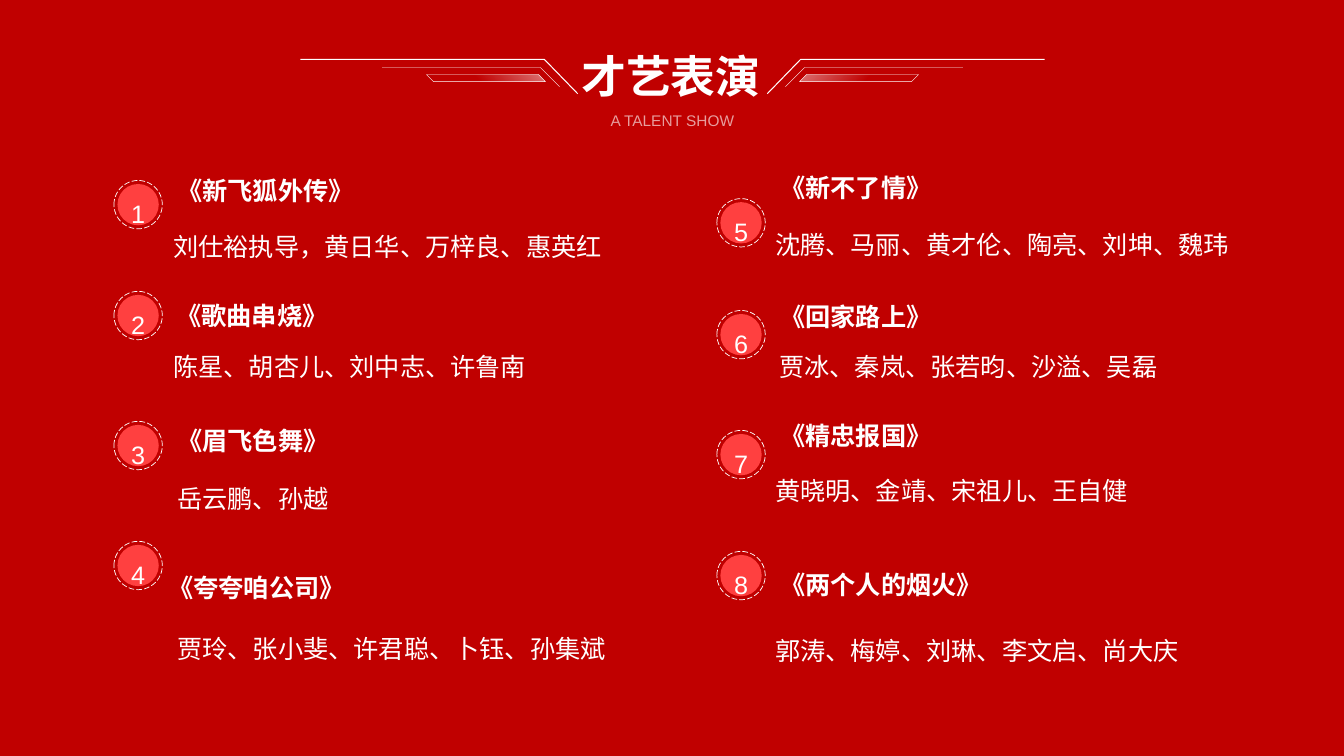
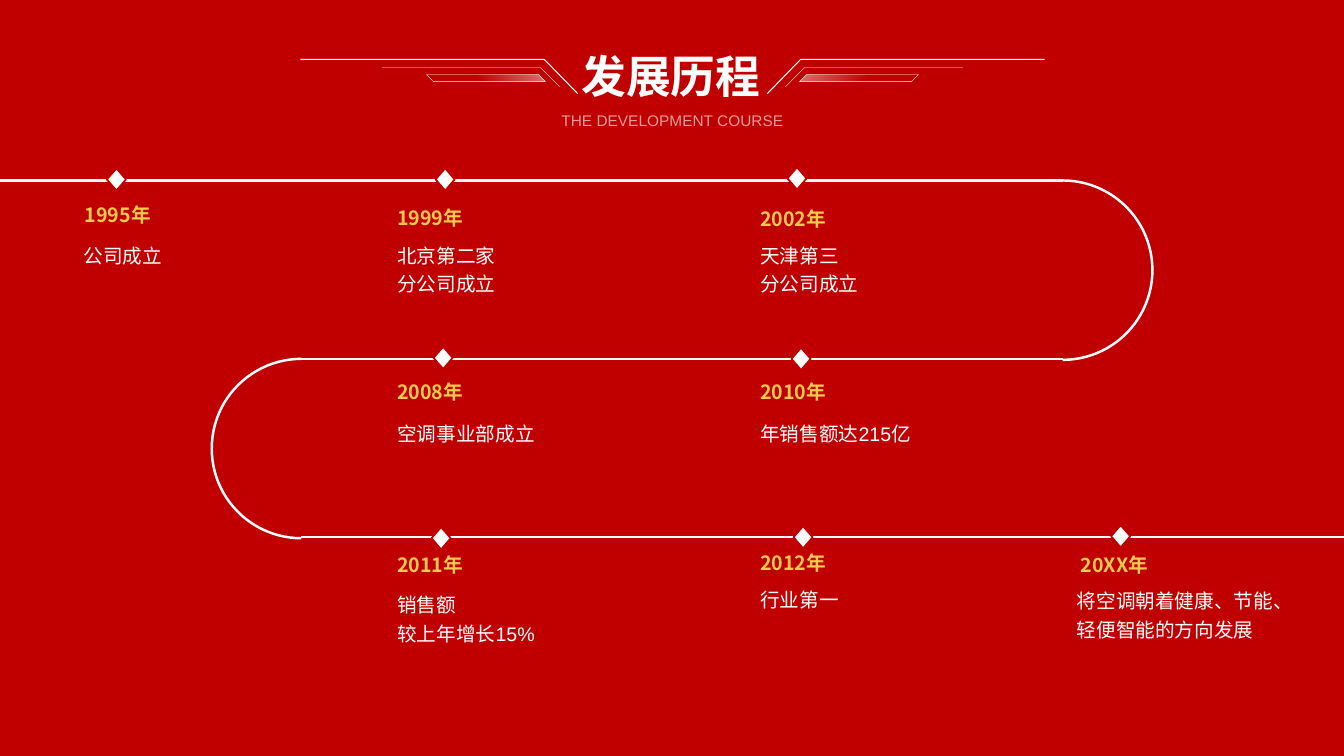
"""Builds a talent show programme slide and a company history slide."""
from dataclasses import dataclass

from lxml.etree import SubElement
from pptx import Presentation
from pptx.dml.color import RGBColor
from pptx.enum.dml import MSO_LINE
from pptx.enum.shapes import MSO_CONNECTOR, MSO_SHAPE as Preset
from pptx.enum.text import MSO_ANCHOR as Anchor, MSO_AUTO_SIZE, PP_ALIGN as Align
from pptx.oxml.ns import qn
from pptx.presentation import Presentation as Deck
from pptx.shapes.autoshape import Shape
from pptx.slide import Slide
from pptx.util import Inches, Pt

RED = RGBColor(0xC0, 0x00, 0x00)
CORAL = RGBColor(0xFF, 0x40, 0x40)
GOLD = RGBColor(0xF3, 0xCA, 0x4D)
CREAM = RGBColor(0xFF, 0xF2, 0xCC)
WHITE = RGBColor(0xFF, 0xFF, 0xFF)
LATIN = "Arial"
CHINESE = "Noto Sans CJK SC"

PAGE_WIDTH = 13.33
MIRROR_SUM = 13.34
RING_SIZE = 0.48
DISC_SIZE = 0.41
BEND_SIZE = 1.78
DIAMOND_WIDTH, DIAMOND_HEIGHT = 0.19, 0.22
ROAD_ROWS = (1.79, 3.56, 5.33)
ROAD_LEFT, ROAD_RIGHT = 2.99, 10.54


@dataclass(frozen=True)
class TextStyle:
    size: float
    color: RGBColor = WHITE
    font: str = LATIN
    bold: bool = False
    spacing: float = 1.0
    before: float = 0
    align: Align = Align.LEFT
    anchor: Anchor = Anchor.TOP
    inset: bool = True


@dataclass(frozen=True)
class Act:
    ring_left: float
    ring_top: float
    title: str
    title_left: float
    title_top: float
    cast: str
    cast_left: float
    cast_top: float


@dataclass(frozen=True)
class Milestone:
    year: str
    year_left: float
    year_top: float
    event: str
    event_left: float
    event_top: float
    diamond_left: float
    diamond_top: float


TITLE = TextStyle(32, font=CHINESE, bold=True, spacing=0.9, align=Align.CENTER,
                  anchor=Anchor.MIDDLE)
SUBTITLE = TextStyle(11, spacing=0.9, before=10, align=Align.CENTER)
ACT_TITLE = TextStyle(18, bold=True, spacing=1.5, anchor=Anchor.MIDDLE)
ACT_CAST = TextStyle(18, spacing=1.5, anchor=Anchor.MIDDLE)
NUMBER = TextStyle(18, align=Align.CENTER, inset=False)
YEAR = TextStyle(14, GOLD, CHINESE, bold=True, inset=False)
EVENT = TextStyle(14, spacing=1.2, inset=False)

ACTS = (
    Act(1.13, 1.79, "《新飞狐外传》", 1.66, 1.56, "刘仕裕执导，黄日华、万梓良、惠英红", 1.62, 2.12),
    Act(1.13, 2.89, "《歌曲串烧》", 1.65, 2.8, "陈星、胡杏儿、刘中志、许鲁南", 1.62, 3.31),
    Act(1.13, 4.18, "《眉飞色舞》", 1.66, 4.04, "岳云鹏、孙越", 1.66, 4.62),
    Act(1.13, 5.37, "《夸夸咱公司》", 1.57, 5.5, "贾玲、张小斐、许君聪、卜钰、孙集斌", 1.66, 6.11),
    Act(7.11, 1.97, "《新不了情》", 7.64, 1.53, "沈腾、马丽、黄才伦、陶亮、刘坤、魏玮", 7.59, 2.1),
    Act(7.11, 3.08, "《回家路上》", 7.64, 2.81, "贾冰、秦岚、张若昀、沙溢、吴磊", 7.63, 3.31),
    Act(7.11, 4.27, "《精忠报国》", 7.64, 3.99, "黄晓明、金靖、宋祖儿、王自健", 7.59, 4.54),
    Act(7.11, 5.47, "《两个人的烟火》", 7.64, 5.47, "郭涛、梅婷、刘琳、李文启、尚大庆", 7.59, 6.13),
)

MILESTONES = (
    Milestone("1995年", 0.84, 2.01, "公司成立", 0.83, 2.37, 1.06, 1.67),
    Milestone("1999年", 3.94, 2.04, "北京第二家\v分公司成立", 3.94, 2.37, 4.32, 1.67),
    Milestone("2002年", 7.54, 2.05, "天津第三\v分公司成立", 7.54, 2.37, 7.81, 1.66),
    Milestone("2008年", 3.94, 3.77, "空调事业部成立", 3.94, 4.14, 4.3, 3.44),
    Milestone("2010年", 7.54, 3.77, "年销售额达215亿", 7.54, 4.14, 7.85, 3.45),
    Milestone("2011年", 3.94, 5.49, "销售额\n较上年增长15%", 3.94, 5.84, 4.28, 5.23),
    Milestone("2012年", 7.54, 5.47, "行业第一", 7.54, 5.79, 7.87, 5.22),
    Milestone("20XX年", 10.72, 5.49, "将空调朝着健康、节能、轻便智能的方向发展", 10.68, 5.8, 11.02, 5.21),
)


def write(shape: Shape, text: str, style: TextStyle) -> None:
    frame = shape.text_frame
    frame.text = text
    frame.word_wrap = True
    frame.vertical_anchor = style.anchor
    if not style.inset:
        frame.margin_left = frame.margin_right = 0
        frame.margin_top = frame.margin_bottom = 0
    for para in frame.paragraphs:
        para.alignment = style.align
        para.line_spacing = style.spacing
        para.space_before = Pt(style.before)
        para.font.size = Pt(style.size)
        para.font.bold = style.bold
        para.font.name = style.font
        para.font.color.rgb = style.color
        defaults = para._p.pPr.find(qn("a:defRPr"))
        SubElement(defaults, qn("a:ea")).set("typeface", CHINESE)


def add_text(page: Slide, text: str, left: float, top: float, width: float,
             height: float, style: TextStyle) -> Shape:
    box = page.shapes.add_textbox(Inches(left), Inches(top), Inches(width), Inches(height))
    write(box, text, style)
    box.text_frame.auto_size = MSO_AUTO_SIZE.SHAPE_TO_FIT_TEXT
    return box


def paint(shape: Shape, fill: RGBColor | None = None, line: RGBColor | None = None,
          weight: float = 1) -> None:
    shape.shadow.inherit = False
    if fill is None:
        shape.fill.background()
    else:
        shape.fill.solid()
        shape.fill.fore_color.rgb = fill
    if line is None:
        shape.line.fill.background()
    else:
        shape.line.color.rgb = line
        shape.line.width = Pt(weight)


def add_preset(page: Slide, preset: Preset, left: float, top: float, width: float,
               height: float, fill: RGBColor | None = None,
               line: RGBColor | None = None, weight: float = 1) -> Shape:
    shape = page.shapes.add_shape(preset, Inches(left), Inches(top),
                                  Inches(width), Inches(height))
    paint(shape, fill, line, weight)
    return shape


def flip(shape: Shape) -> None:
    shape._element.spPr.find(qn("a:xfrm")).set("flipH", "1")


def set_alpha(color, percent: int) -> None:
    SubElement(color, qn("a:alpha")).set("val", str(percent * 1000))


def add_wing(page: Slide, mirrored: bool) -> None:
    outlines = (
        (((7.61, 0.93), (7.94, 0.59), (10.36, 0.59)), 0.75),
        (((7.79, 0.86), (7.98, 0.67), (9.55, 0.67)), 0.25),
    )
    for points, weight in outlines:
        start, *rest = [(Inches(MIRROR_SUM - x if mirrored else x), Inches(y))
                        for x, y in points]
        builder = page.shapes.build_freeform(*start)
        builder.add_line_segments(rest, close=False)
        paint(builder.convert_to_shape(), line=WHITE, weight=weight)

    left, width = 7.93, 1.18
    bar = add_preset(page, Preset.PARALLELOGRAM,
                     MIRROR_SUM - left - width if mirrored else left,
                     0.74, width, 0.07, line=WHITE, weight=0.25)
    bar.adjustments[0] = 0.98
    bar.fill.gradient()
    bar.fill.gradient_angle = 315
    for stop, position, alpha in zip(bar.fill.gradient_stops, (0, 0.57), (46, 0)):
        stop.position = position
        stop.color.rgb = WHITE
        set_alpha(stop._gs.find(qn("a:srgbClr")), alpha)
    if mirrored:
        flip(bar)


def add_page(deck: Deck, title: str, subtitle: str) -> Slide:
    page = deck.slides.add_slide(deck.slide_layouts[6])
    for mirrored in (False, True):
        add_wing(page, mirrored)
    heading = add_text(page, title, 5.58, 0.49, 2.15, 0.59, TITLE)
    fill = heading.text_frame.paragraphs[0].font.fill
    fill.gradient()
    fill.gradient_angle = 270
    for stop, position, color in zip(fill.gradient_stops, (0, 1), (WHITE, CREAM)):
        stop.position = position
        stop.color.rgb = color
    caption = add_text(page, subtitle, 5.29, 1.07, 2.76, 0.57, SUBTITLE)
    for color in caption._element.iter(qn("a:srgbClr")):
        set_alpha(color, 61)
    return page


def add_act(page: Slide, number: int, act: Act) -> None:
    for text, left, top, style in (
        (act.title, act.title_left, act.title_top, ACT_TITLE),
        (act.cast, act.cast_left, act.cast_top, ACT_CAST),
    ):
        add_text(page, text, left, top, 0.25 * len(text) + 0.3, 0.5, style)
    ring = add_preset(page, Preset.OVAL, act.ring_left, act.ring_top,
                      RING_SIZE, RING_SIZE, line=WHITE, weight=0.5)
    ring.line.dash_style = MSO_LINE.LONG_DASH
    gap = (RING_SIZE - DISC_SIZE) / 2
    disc = add_preset(page, Preset.ROUNDED_RECTANGLE, act.ring_left + gap,
                      act.ring_top + gap, DISC_SIZE, DISC_SIZE, fill=CORAL)
    disc.adjustments[0] = 0.5
    write(disc, str(number), NUMBER)
    disc.text_frame.word_wrap = False
    disc.text_frame.margin_top = Inches(0.08)


def add_road(page: Slide) -> None:
    spans = ((0, ROAD_RIGHT), (ROAD_LEFT, ROAD_RIGHT), (ROAD_LEFT, PAGE_WIDTH))
    for y, (start, end) in zip(ROAD_ROWS, spans):
        road = page.shapes.add_connector(MSO_CONNECTOR.STRAIGHT, Inches(start), Inches(y),
                                         Inches(end), Inches(y))
        road.line.color.rgb = WHITE
        road.line.width = Pt(1.75)
        SubElement(road._element.spPr, qn("a:effectLst"))
    for center, top, mirrored in ((ROAD_RIGHT, ROAD_ROWS[0], False),
                                  (ROAD_LEFT, ROAD_ROWS[1], True)):
        bend = add_preset(page, Preset.ARC, center - BEND_SIZE / 2, top,
                          BEND_SIZE, BEND_SIZE, line=WHITE, weight=1.75)
        bend.adjustments[0] = 162
        bend.adjustments[1] = 54
        if mirrored:
            flip(bend)


def add_milestone(page: Slide, stone: Milestone) -> None:
    add_text(page, stone.year, stone.year_left, stone.year_top, 2.07, 0.24, YEAR)
    add_text(page, stone.event, stone.event_left, stone.event_top, 2.07, 0.26, EVENT)
    add_preset(page, Preset.DIAMOND, stone.diamond_left, stone.diamond_top,
               DIAMOND_WIDTH, DIAMOND_HEIGHT, fill=WHITE, line=RED, weight=1.25)


def main() -> None:
    deck = Presentation()
    deck.slide_width = Inches(PAGE_WIDTH)
    deck.slide_height = Inches(7.5)
    backdrop = deck.slide_master.background.fill
    backdrop.solid()
    backdrop.fore_color.rgb = RED

    show = add_page(deck, "才艺表演", "A TALENT SHOW")
    for number, act in enumerate(ACTS, start=1):
        add_act(show, number, act)

    history = add_page(deck, "发展历程", "THE DEVELOPMENT COURSE")
    add_road(history)
    for stone in MILESTONES:
        add_milestone(history, stone)

    deck.save("out.pptx")


if __name__ == "__main__":
    main()
